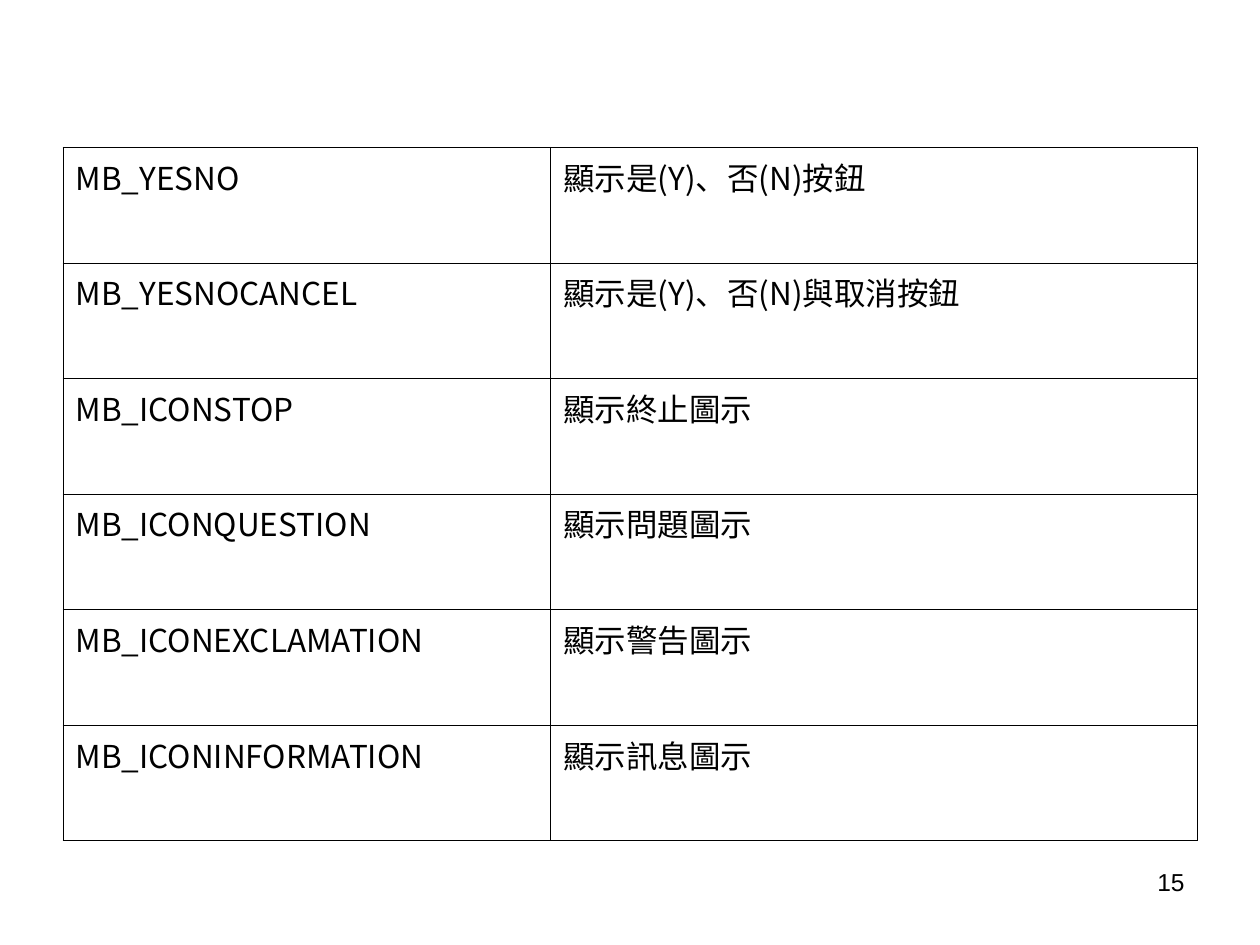
from dataclasses import dataclass
from typing import NamedTuple

import pptx
import pptx.dml.color
import pptx.enum.text
import pptx.oxml.ns
import pptx.util
from lxml import etree

Cm = pptx.util.Cm
Pt = pptx.util.Pt
qn = pptx.oxml.ns.qn


@dataclass(frozen=True)
class Theme:
    ink: str = "000000"
    paper: str = "FFFFFF"
    table_font: str = "Noto Sans CJK SC"
    number_font: str = "Arial"
    table_size: float = 18
    number_size: float = 14
    border: float = 0.45


class MessageBoxFlag(NamedTuple):
    constant: str
    meaning: str


THEME = Theme()
FLAGS = [
    MessageBoxFlag("MB_YESNO", "顯示是(Y)、否(N)按鈕"),
    MessageBoxFlag("MB_YESNOCANCEL", "顯示是(Y)、否(N)與取消按鈕"),
    MessageBoxFlag("MB_ICONSTOP", "顯示終止圖示"),
    MessageBoxFlag("MB_ICONQUESTION", "顯示問題圖示"),
    MessageBoxFlag("MB_ICONEXCLAMATION", "顯示警告圖示"),
    MessageBoxFlag("MB_ICONINFORMATION", "顯示訊息圖示"),
]
COLUMN_WIDTHS = (Cm(9.83), Cm(13.03))
ROW_HEIGHT = Cm(2.33)
HANGING_INDENT = Cm(0.95)


def rgb(value: str) -> pptx.dml.color.RGBColor:
    return pptx.dml.color.RGBColor.from_string(value)


def write_text(frame, text: str, *, font: str, size: float, align=None, hanging: int = 0) -> None:
    paragraph = frame.paragraphs[0]
    paragraph.alignment = align
    if hanging:
        properties = paragraph._p.get_or_add_pPr()
        properties.set("marL", str(hanging))
        properties.set("indent", str(-hanging))
    run = paragraph.add_run()
    run.text = text
    run.font.name = font
    run.font.size = Pt(size)
    run.font.color.rgb = rgb(THEME.ink)
    east_asian = etree.Element(qn("a:ea"), typeface=font)
    run._r.rPr.find(qn("a:latin")).addnext(east_asian)


def add_borders(cell) -> None:
    properties = cell._tc.get_or_add_tcPr()
    for side in ("lnL", "lnR", "lnT", "lnB"):
        line = etree.SubElement(properties, qn(f"a:{side}"), w=str(Pt(THEME.border)))
        fill = etree.SubElement(line, qn("a:solidFill"))
        etree.SubElement(fill, qn("a:srgbClr"), val=THEME.ink)


def add_flag_table(slide, flags: list[MessageBoxFlag]) -> None:
    table = slide.shapes.add_table(
        len(flags), len(COLUMN_WIDTHS), Cm(1.27), Cm(2.97),
        sum(COLUMN_WIDTHS), ROW_HEIGHT * len(flags),
    ).table
    table.first_row = False
    table.horz_banding = False
    for column, width in zip(table.columns, COLUMN_WIDTHS):
        column.width = width
    for row, flag in zip(table.rows, flags):
        row.height = ROW_HEIGHT
        for cell, text in zip(row.cells, flag):
            add_borders(cell)
            cell.fill.solid()
            cell.fill.fore_color.rgb = rgb(THEME.paper)
            write_text(cell.text_frame, text, font=THEME.table_font,
                       size=THEME.table_size, hanging=HANGING_INDENT)


def add_page_number(slide, number: str) -> None:
    frame = slide.shapes.add_textbox(Cm(18.2), Cm(17.35), Cm(5.93), Cm(1.32)).text_frame
    frame.word_wrap = True
    write_text(frame, number, font=THEME.number_font, size=THEME.number_size,
               align=pptx.enum.text.PP_ALIGN.RIGHT)


def main() -> None:
    deck = pptx.Presentation()
    deck.slide_width, deck.slide_height = Cm(25.4), Cm(19.05)
    slide = deck.slides.add_slide(deck.slide_layouts.get_by_name("Blank"))
    add_flag_table(slide, FLAGS)
    add_page_number(slide, "15")
    deck.save("out.pptx")


if __name__ == "__main__":
    main()
